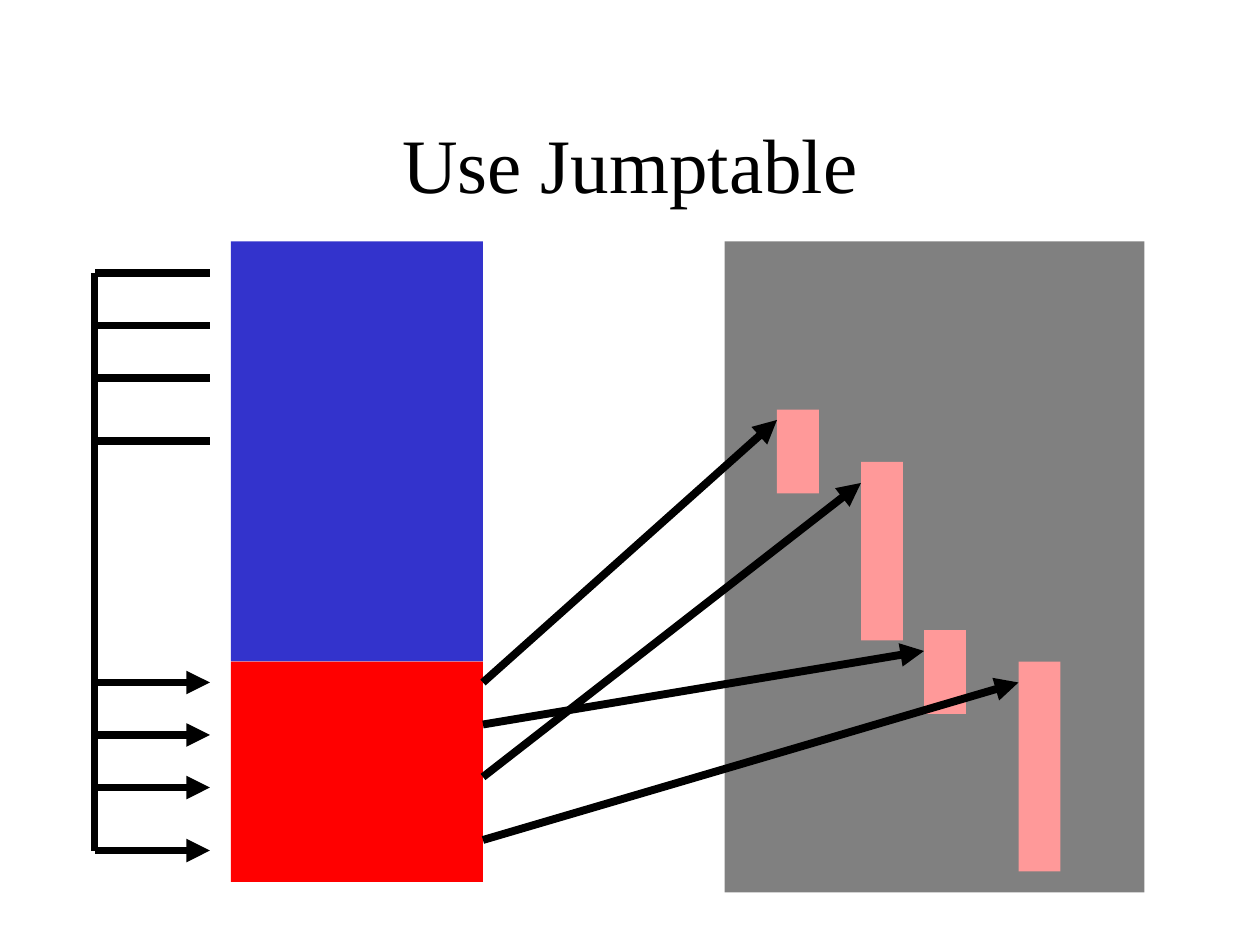
from pptx import Presentation
from pptx.dml.color import RGBColor
from pptx.enum.shapes import MSO_CONNECTOR, MSO_SHAPE
from pptx.enum.text import MSO_ANCHOR, PP_ALIGN
from pptx.oxml.ns import qn
from pptx.util import Pt
from lxml import etree

LINE = MSO_CONNECTOR.STRAIGHT
RECT = MSO_SHAPE.RECTANGLE
MIDDLE = MSO_ANCHOR.MIDDLE
CENTER = PP_ALIGN.CENTER


def color(code):
    return RGBColor.from_string(code)


def stroke(shapes, start, end, arrow=False):
    link = shapes.add_connector(LINE, *map(Pt, start + end))
    link.line.width = Pt(4.5)
    link.line.color.rgb = color("000000")
    props = link._element.spPr
    if arrow:
        etree.SubElement(props.find(qn("a:ln")), qn("a:tailEnd"), type="triangle")
    etree.SubElement(props, qn("a:effectLst"))


deck = Presentation()
deck.slide_width, deck.slide_height = Pt(720), Pt(540)
slide = deck.slides.add_slide(deck.slide_layouts[6])
shapes = slide.shapes

# Title
title = shapes.add_textbox(Pt(54), Pt(48), Pt(612), Pt(90))
frame = title.text_frame
frame.word_wrap = True
frame.vertical_anchor = MIDDLE
para = frame.paragraphs[0]
para.text = "Use Jumptable"
para.alignment = CENTER
style = {"name": "Times New Roman", "size": Pt(44)}
for key, value in style.items():
    setattr(para.font, key, value)
para.font.color.rgb = color("000000")

# Code, jump table, library and its four routines
blocks = [
    (132, 138, 144, 240, "3333CC"),
    (132, 378, 144, 126, "FF0000"),
    (414, 138, 240, 372, "808080"),
    (444, 234, 24, 48, "FF9999"),
    (492, 264, 24, 102, "FF9999"),
    (528, 360, 24, 48, "FF9999"),
    (582, 378, 24, 120, "FF9999"),
]
for *box, fill in blocks:
    block = shapes.add_shape(RECT, *map(Pt, box))
    block.shadow.inherit = False
    block.fill.solid()
    block.fill.fore_color.rgb = color(fill)
    block.line.fill.background()

# Each call loops down to a table entry, which jumps to a routine
left, right, edge, drop = 54, 120, 276, 234
jumps = [
    (156, 390, (444, 240)),
    (186, 414, (528, 372)),
    (216, 444, (492, 276)),
    (252, 480, (582, 390)),
]
for call, entry, target in jumps:
    loop = shapes.add_group_shape().shapes
    stroke(loop, (right, call), (left, call))
    stroke(loop, (left, call), (left, call + drop))
    stroke(loop, (left, call + drop), (right, call + drop), arrow=True)
    stroke(shapes, (edge, entry), target, arrow=True)

deck.save("out.pptx")
